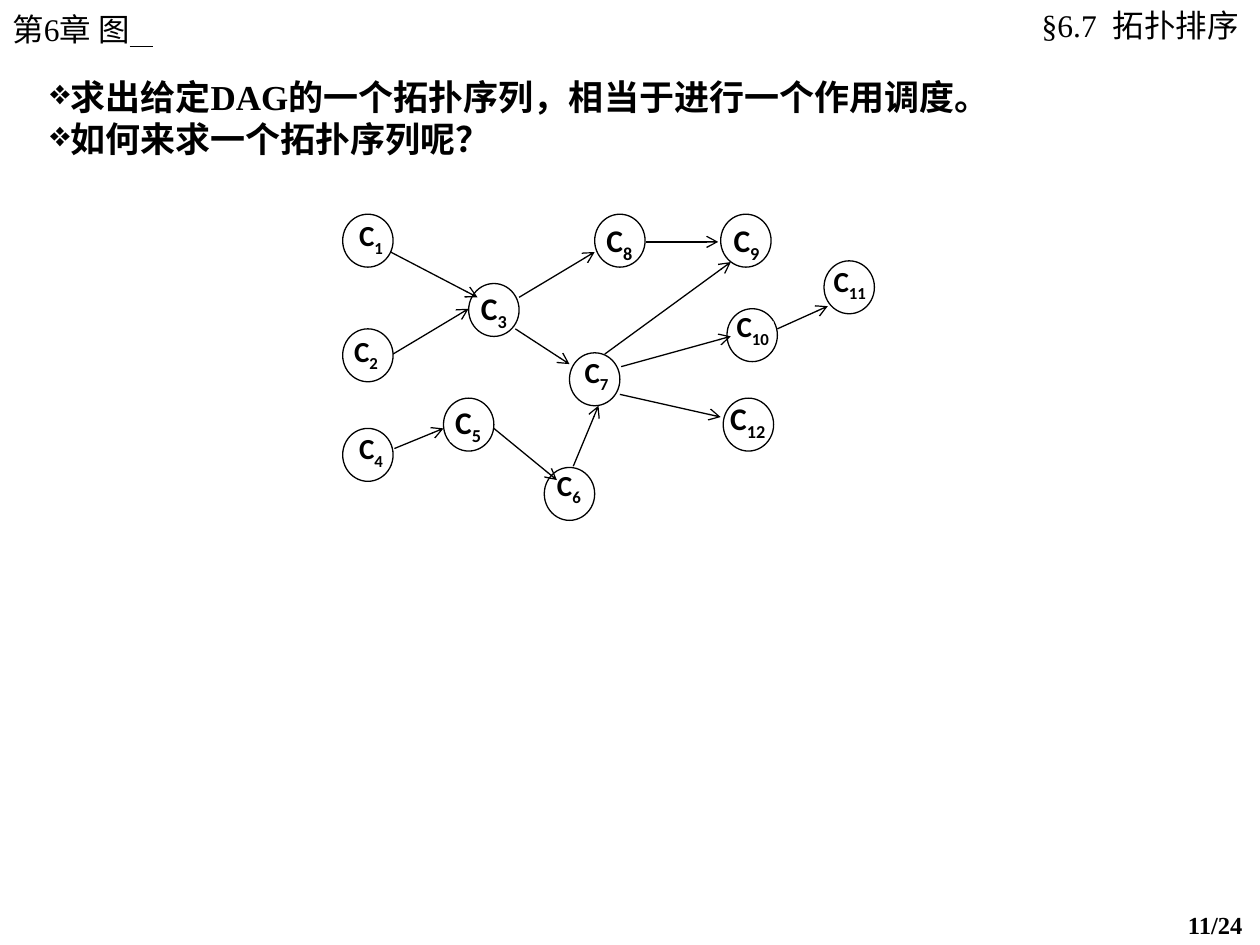
from lxml.etree import SubElement
from pptx import Presentation
from pptx.dml.color import RGBColor
from pptx.enum.shapes import MSO_CONNECTOR, MSO_SHAPE
from pptx.enum.text import MSO_ANCHOR, MSO_AUTO_SIZE, PP_ALIGN
from pptx.oxml.ns import qn
from pptx.util import Inches, Pt

BLACK = RGBColor(0x00, 0x00, 0x00)
WHITE = RGBColor(0xFF, 0xFF, 0xFF)

NODE_WIDTH, NODE_HEIGHT = 0.4, 0.42

# Course number: (node left, node top, label box, label size, line spacing)
COURSES = {
    1: (2.72, 1.70, (2.82, 1.83, 0.25, 0.20), 16.6, 0.52),
    2: (2.72, 2.61, (2.78, 2.72, 0.25, 0.21), 16.6, 0.62),
    3: (3.72, 2.25, (3.78, 2.35, 0.28, 0.25), 18, 0.72),
    4: (2.72, 3.40, (2.82, 3.52, 0.25, 0.20), 16.6, 0.52),
    5: (3.52, 3.16, (3.57, 3.28, 0.29, 0.23), 18, 0.62),
    6: (4.32, 3.71, (4.39, 3.81, 0.25, 0.20), 16.6, 0.52),
    7: (4.52, 2.80, (4.61, 2.91, 0.25, 0.20), 16.6, 0.52),
    8: (4.72, 1.70, (4.79, 1.81, 0.25, 0.25), 18, 0.72),
    9: (5.72, 1.70, (5.80, 1.81, 0.25, 0.25), 18, 0.72),
    10: (5.77, 2.45, (5.81, 2.55, 0.33, 0.20), 16.6, 0.52),
    11: (6.54, 2.07, (6.58, 2.19, 0.33, 0.20), 16.6, 0.52),
    12: (5.74, 3.16, (5.76, 3.25, 0.35, 0.23), 18, 0.62),
}
# Wide labels lie under an unfilled circle
LABEL_UNDER_CIRCLE = {11, 12}

# Start and end point of each prerequisite arrow
ARROWS = [
    (3.10, 2.00, 3.79, 2.36),  # C1 to C3
    (4.80, 2.81, 5.80, 2.08),  # C7 to C9
    (3.13, 3.56, 3.52, 3.40),  # C4 to C5
    (3.92, 3.40, 4.42, 3.81),  # C5 to C6
    (4.12, 2.36, 4.72, 2.00),  # C3 to C8
    (4.09, 2.61, 4.52, 2.89),  # C3 to C7
    (4.93, 2.91, 5.80, 2.67),  # C7 to C10
    (4.92, 3.13, 5.72, 3.31),  # C7 to C12
    (3.12, 2.81, 3.72, 2.45),  # C2 to C3
    (5.13, 1.92, 5.70, 1.92),  # C8 to C9
    (6.17, 2.61, 6.57, 2.43),  # C10 to C11
    (4.55, 3.70, 4.75, 3.22),  # C6 to C7
]


class SlideBuilder:
    text_font = "Times New Roman"
    label_font = "Calibri"
    line_width = Pt(0.75)

    def __init__(self, slide):
        self.slide = slide

    def style(self, paragraph, name, size, bold):
        font = paragraph.font
        font.name, font.size, font.bold = name, Pt(size), bold
        font.color.rgb = BLACK

    def text(self, box, lines, size, bold=False, align=PP_ALIGN.LEFT,
             margins=(0.1, 0.1), wrap=True, bullet=None):
        shape = self.slide.shapes.add_textbox(*map(Inches, box))
        frame = shape.text_frame
        frame.word_wrap = wrap
        frame.auto_size = MSO_AUTO_SIZE.SHAPE_TO_FIT_TEXT
        frame.margin_left, frame.margin_right = map(Inches, margins)
        frame.text = "\n".join(lines)
        for paragraph in frame.paragraphs:
            paragraph.alignment = align
            if bullet:
                self.add_bullet(paragraph, bullet)
            self.style(paragraph, self.text_font, size, bold)
        return frame

    def add_bullet(self, paragraph, character):
        properties = paragraph._p.get_or_add_pPr()
        color = SubElement(properties, qn("a:buClr"))
        SubElement(color, qn("a:srgbClr"), val=str(BLACK))
        SubElement(properties, qn("a:buChar"), char=character)

    def circle(self, left, top, filled):
        shape = self.slide.shapes.add_shape(
            MSO_SHAPE.OVAL, Inches(left), Inches(top),
            Inches(NODE_WIDTH), Inches(NODE_HEIGHT))
        shape.shadow.inherit = False
        if filled:
            shape.fill.solid()
            shape.fill.fore_color.rgb = WHITE
        else:
            shape.fill.background()
        shape.line.color.rgb = BLACK
        shape.line.width = self.line_width

    def label(self, number, box, size, spacing):
        shape = self.slide.shapes.add_shape(
            MSO_SHAPE.RECTANGLE, *map(Inches, box))
        shape.shadow.inherit = False
        shape.fill.solid()
        shape.fill.fore_color.rgb = WHITE
        shape.line.fill.background()
        frame = shape.text_frame
        frame.vertical_anchor = MSO_ANCHOR.TOP
        frame.margin_left = frame.margin_right = 0
        frame.margin_top = frame.margin_bottom = 0
        paragraph = frame.paragraphs[0]
        paragraph.alignment = PP_ALIGN.CENTER
        paragraph.line_spacing = spacing
        self.style(paragraph, self.label_font, size, True)
        paragraph.add_run().text = "C"
        subscript = paragraph.add_run()
        subscript.text = str(number)
        subscript._r.get_or_add_rPr().set("baseline", "-25000")

    def course(self, number, left, top, box, size, spacing):
        if number in LABEL_UNDER_CIRCLE:
            self.label(number, box, size, spacing)
            self.circle(left, top, filled=False)
        else:
            self.circle(left, top, filled=True)
            self.label(number, box, size, spacing)

    def arrow(self, *points):
        connector = self.slide.shapes.add_connector(
            MSO_CONNECTOR.STRAIGHT, *map(Inches, points))
        connector.line.color.rgb = BLACK
        connector.line.width = self.line_width
        SubElement(connector.line._get_or_add_ln(), qn("a:tailEnd"), type="arrow")
        SubElement(connector._element.spPr, qn("a:effectLst"))


def main():
    presentation = Presentation()
    presentation.slide_width = Inches(10)
    presentation.slide_height = Inches(7.5)
    slide = presentation.slides.add_slide(presentation.slide_layouts[6])
    builder = SlideBuilder(slide)

    # Header: chapter with an underlined blank, and section
    chapter = builder.text((0, 0, 1.74, 0.44), ["第6章 图"], 18)
    blank = chapter.paragraphs[0].add_run()
    blank.text = "   "
    blank.font.size = Pt(20)
    blank.font.bold = blank.font.underline = True
    builder.text((6.72, 0, 3.27, 0.4), ["§6.7  拓扑排序"], 18,
                 align=PP_ALIGN.RIGHT, margins=(0.12, 0.16))

    # Main points
    builder.text((0.3, 0.55, 7.88, 0.77),
                 ["求出给定DAG的一个拓扑序列，相当于进行一个作用调度。",
                  "如何来求一个拓扑序列呢？"],
                 20, bold=True, wrap=False, bullet="❖")

    # Page number
    builder.text((9.33, 7.17, 0.67, 0.34), ["11/24"], 14, bold=True)

    # Course graph
    for number, course in COURSES.items():
        builder.course(number, *course)
    for points in ARROWS:
        builder.arrow(*points)

    presentation.save("out.pptx")


if __name__ == "__main__":
    main()
